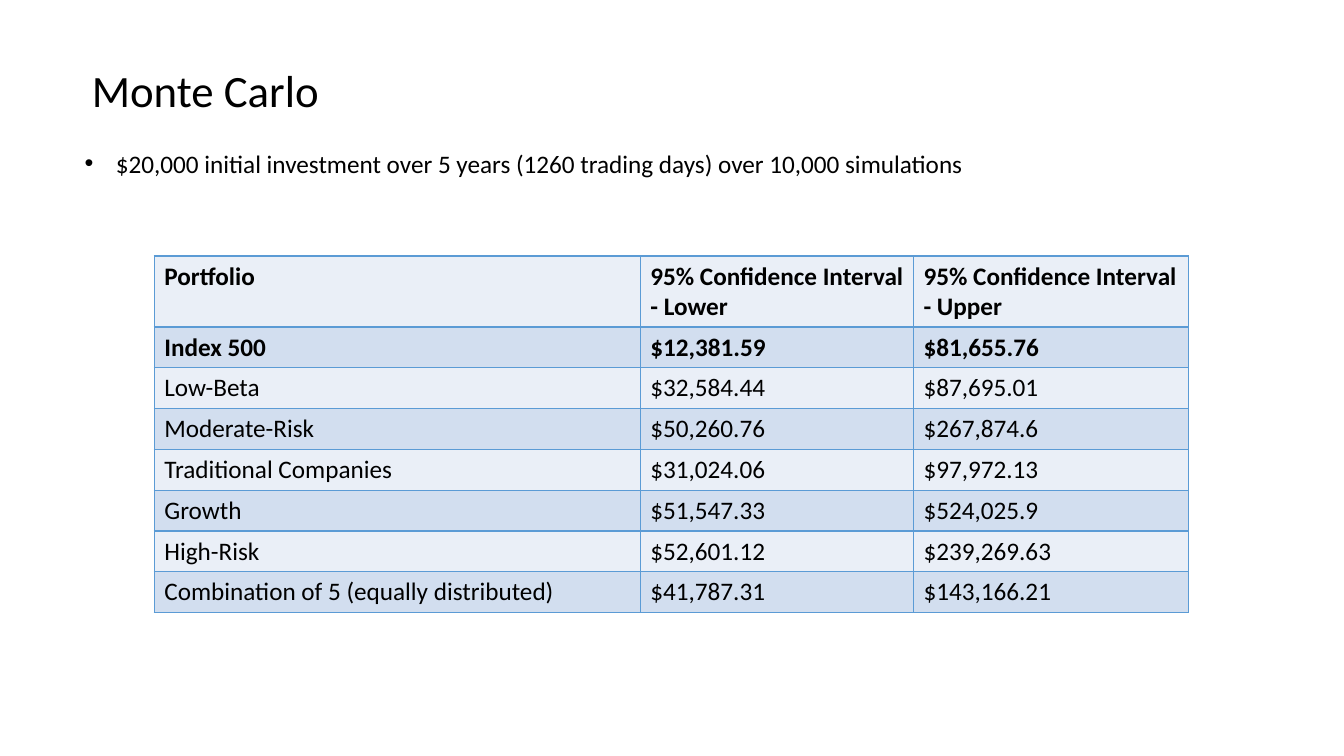
"""Build the Monte Carlo slide with its table of confidence intervals."""
from dataclasses import dataclass

import pptx
import pptx.dml.color
import pptx.enum.text
import pptx.oxml
import pptx.oxml.ns
import pptx.presentation
import pptx.slide
import pptx.table
import pptx.text.text
import pptx.util

RGBColor = pptx.dml.color.RGBColor
BLACK = RGBColor(0x00, 0x00, 0x00)
BORDER = RGBColor(0x5B, 0x9B, 0xD5)
BANDS = (RGBColor(0xEA, 0xEF, 0xF7), RGBColor(0xD2, 0xDE, 0xEF))
WIDTH = pptx.util.Inches(13.33)
HEIGHT = pptx.util.Inches(7.5)
COLUMN_SHARES = (36.16, 20.33, 20.48)
HEADER_SHARE = 9.39
ROW_SHARE = 5.4


@dataclass(frozen=True)
class Box:
    """A rectangle in percent of the slide's width and height."""
    left: float
    top: float
    width: float
    height: float

    def emu(self) -> dict[str, int]:
        """Return the rectangle's four lengths by attribute name."""
        return {"left": across(self.left), "top": down(self.top),
                "width": across(self.width), "height": down(self.height)}


@dataclass(frozen=True)
class Row:
    """One table row: a portfolio and its interval bounds."""
    portfolio: str
    lower: str
    upper: str
    bold: bool = False


TITLE_BOX = Box(6.08, 8.4, 32.48, 10.53)
BODY_BOX = Box(5.55, 18.93, 85.52, 5.33)
TABLE_BOX = Box(11.48, 33.87, sum(COLUMN_SHARES), 47.2)
ROWS = (
    Row("Portfolio", "95% Confidence Interval - Lower",
        "95% Confidence Interval - Upper", True),
    Row("Index 500", "$12,381.59", "$81,655.76", True),
    Row("Low-Beta", "$32,584.44", "$87,695.01"),
    Row("Moderate-Risk", "$50,260.76", "$267,874.6"),
    Row("Traditional Companies", "$31,024.06", "$97,972.13"),
    Row("Growth", "$51,547.33", "$524,025.9"),
    Row("High-Risk", "$52,601.12", "$239,269.63"),
    Row("Combination of 5 (equally distributed)", "$41,787.31", "$143,166.21"),
)


def across(share: float) -> int:
    """Turn a percentage of the slide's width into EMU."""
    return round(WIDTH * share / 100)


def down(share: float) -> int:
    """Turn a percentage of the slide's height into EMU."""
    return round(HEIGHT * share / 100)


def apply(target: object, values: dict) -> None:
    """Set each named attribute on the target."""
    for name, value in values.items():
        setattr(target, name, value)


def write(p: pptx.text.text._Paragraph, text: str, size: float,
          bold: bool = False) -> None:
    """Add one formatted run to a paragraph."""
    r = p.add_run()
    r.text = text
    apply(r.font, {"name": "Calibri", "size": pptx.util.Pt(size), "bold": bold})
    r.font.color.rgb = BLACK


def add_bullet(p: pptx.text.text._Paragraph) -> None:
    """Give a paragraph a hanging round bullet."""
    pPr = p._p.get_or_add_pPr()
    indent = pptx.util.Inches(0.31)
    pPr.set("marL", str(indent))
    pPr.set("indent", str(-indent))
    ns = pptx.oxml.ns.nsdecls("a")
    for xml in (f'<a:buFont {ns} typeface="Arial"/>', f'<a:buChar {ns} char="•"/>'):
        pPr.append(pptx.oxml.parse_xml(xml))


def fill_placeholder(sp: pptx.slide.SlideShapes, box: Box, text: str, size: float,
                     spacing: float, bullet: bool = False) -> None:
    """Move a placeholder and write its single paragraph."""
    apply(sp, box.emu())
    tf = sp.text_frame
    auto = pptx.enum.text.MSO_AUTO_SIZE
    apply(tf, {"word_wrap": True,
               "vertical_anchor": pptx.enum.text.MSO_ANCHOR.TOP,
               "auto_size": auto.SHAPE_TO_FIT_TEXT if bullet else auto.NONE})
    p = tf.paragraphs[0]
    if bullet:
        add_bullet(p)
    apply(p, {"alignment": pptx.enum.text.PP_ALIGN.LEFT,
              "line_spacing": spacing, "space_before": pptx.util.Pt(0)})
    write(p, text, size)


def style_cell(cell: pptx.table._Cell, color: RGBColor) -> None:
    """Outline and fill a table cell."""
    tcPr = cell._tc.get_or_add_tcPr()
    ns = pptx.oxml.ns.nsdecls("a")
    for side in "LRTB":
        tcPr.append(pptx.oxml.parse_xml(
            f'<a:ln{side} {ns} w="{pptx.util.Pt(1)}"><a:solidFill>'
            f'<a:srgbClr val="{BORDER}"/></a:solidFill></a:ln{side}>'))
    cell.fill.solid()
    cell.fill.fore_color.rgb = color


def add_intervals(s: pptx.slide.Slide) -> None:
    """Add the table of portfolios and their interval bounds."""
    table = s.shapes.add_table(len(ROWS), len(COLUMN_SHARES),
                               **TABLE_BOX.emu()).table
    for column, share in zip(table.columns, COLUMN_SHARES):
        column.width = across(share)
    for i, row in enumerate(ROWS):
        table.rows[i].height = down(ROW_SHARE if i else HEADER_SHARE)
        for j, text in enumerate((row.portfolio, row.lower, row.upper)):
            cell = table.cell(i, j)
            style_cell(cell, BANDS[i % 2])
            write(cell.text_frame.paragraphs[0], text, 18, row.bold)


def main() -> None:
    """Build and save the presentation."""
    prs = pptx.Presentation()
    apply(prs, {"slide_width": WIDTH, "slide_height": HEIGHT})
    s = prs.slides.add_slide(prs.slide_layouts[1])
    fill_placeholder(s.shapes.title, TITLE_BOX, "Monte Carlo", 32, 0.9)
    fill_placeholder(
        s.placeholders[1], BODY_BOX,
        "$20,000 initial investment over 5 years (1260 trading days) "
        "over 10,000 simulations", 18, 1.0, bullet=True)
    add_intervals(s)
    prs.save("out.pptx")


if __name__ == "__main__":
    main()
